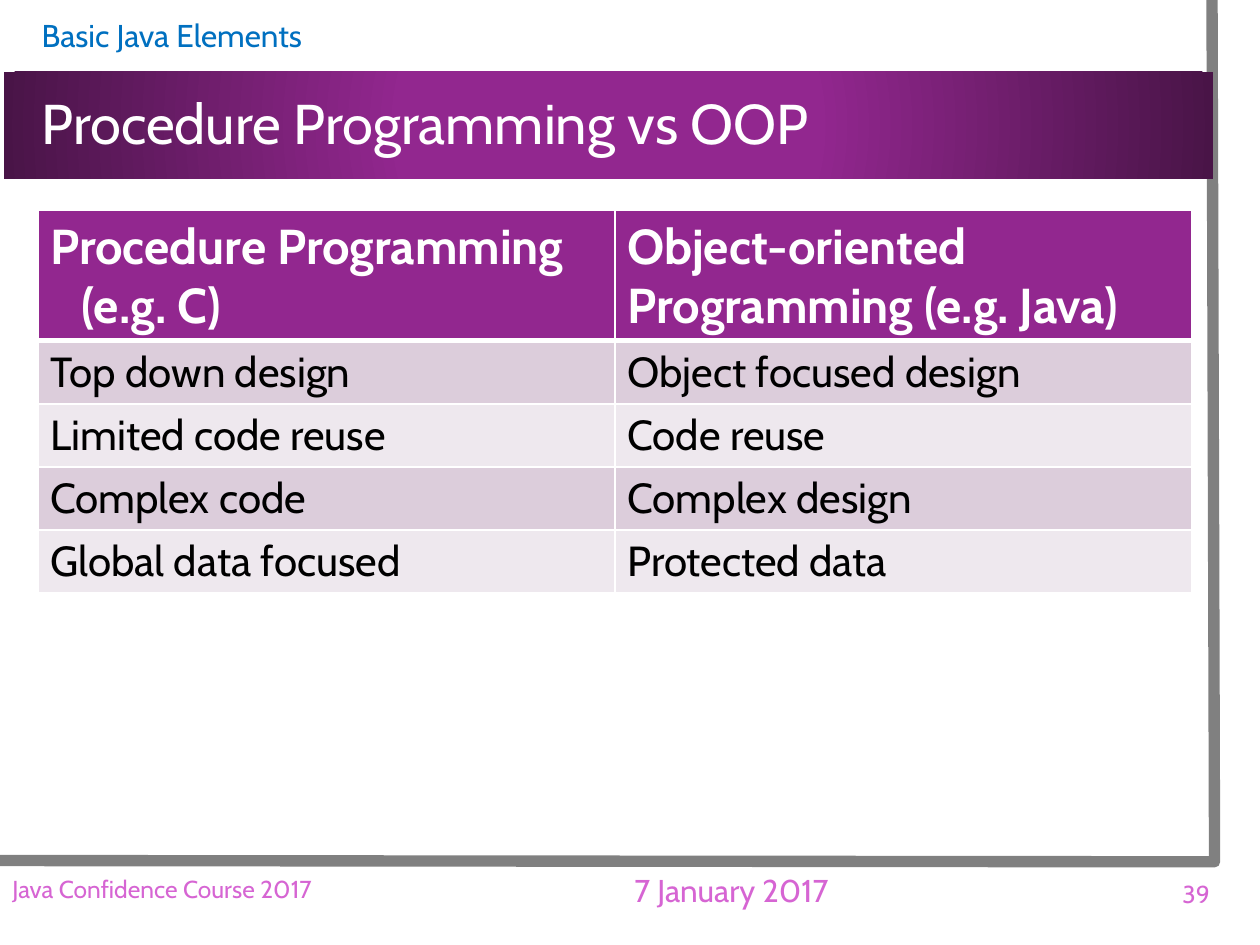
from dataclasses import dataclass

from lxml import etree
from pptx import Presentation, util as u
from pptx.dml.color import RGBColor
from pptx.enum import shapes, text
from pptx.oxml import ns

FONT = "Cabin"
COLOURS = {
    "frame": "808080", "purple": "92278F", "dark_purple": "491447",
    "topic": "0070C0", "footer": "D665D3", "white": "FFFFFF",
    "black": "000000", "odd_row": "DCCDDB", "even_row": "EEE8EE",
}


@dataclass
class Label:
    words: str
    box: tuple[float, float, float, float]
    size: int
    colour: str
    align: text.PP_ALIGN = text.PP_ALIGN.LEFT
    inset: float = 0.1
    spacing: float = 1.0


LABELS = [
    Label("Basic Java Elements", (0.03, 0.08, 9.6, 0.4), 18, "topic", inset=0.3),
    Label("Procedure Programming vs OOP", (0.03, 0.58, 9.6, 0.84), 32, "white",
          inset=0.3, spacing=0.9),
    Label("7 January 2017", (4.23, 6.85, 3.15, 0.43), 18, "footer", text.PP_ALIGN.CENTER),
    Label("Java Confidence Course 2017", (0, 6.85, 4.23, 0.41), 14, "footer"),
    Label("39", (7.39, 6.86, 2.31, 0.47), 14, "footer", text.PP_ALIGN.RIGHT),
]

COMPARISON = [
    ("Procedure Programming (e.g. C)", "Object-oriented Programming (e.g. Java)"),
    ("Top down design", "Object focused design"),
    ("Limited code reuse", "Code reuse"),
    ("Complex code", "Complex design"),
    ("Global data focused", "Protected data"),
]


def rgb(name: str) -> RGBColor:
    return RGBColor.from_string(COLOURS[name])


def style(paragraph, size: int, colour: str, bold: bool = False) -> None:
    for run in paragraph.runs:
        run.font.name = FONT
        run.font.size = u.Pt(size)
        run.font.bold = bold
        run.font.color.rgb = rgb(colour)


def draw_label(slide, label: Label) -> None:
    frame = slide.shapes.add_textbox(*map(u.Inches, label.box)).text_frame
    frame.word_wrap = True
    frame.vertical_anchor = text.MSO_ANCHOR.MIDDLE
    frame.margin_left = u.Inches(label.inset)
    frame.text = label.words
    paragraph = frame.paragraphs[0]
    paragraph.alignment = label.align
    paragraph.line_spacing = label.spacing
    style(paragraph, label.size, label.colour)


def draw_page_frame(slide) -> None:
    corners = [(u.Inches(x), u.Inches(y)) for x, y in ((9.62, 0), (9.64, 6.84), (-0.02, 6.83))]
    builder = slide.shapes.build_freeform(*corners[0])
    builder.add_line_segments(corners[1:], close=False)
    edge = builder.convert_to_shape()
    edge.shadow.inherit = False
    edge.fill.background()
    edge.line.color.rgb = rgb("frame")
    edge.line.width = u.Pt(6.5)


def draw_title_band(slide) -> None:
    band = slide.shapes.add_shape(shapes.MSO_SHAPE.RECTANGLE,
                                  *map(u.Inches, (0.03, 0.57, 9.6, 0.85)))
    band.shadow.inherit = False
    band.line.fill.background()
    band.fill.gradient()
    stops = ((0.34, "purple"), (1.0, "dark_purple"))
    for stop, (position, colour) in zip(band.fill.gradient_stops, stops):
        stop.position = position
        stop.color.rgb = rgb(colour)
    # Radial gradient from the centre
    gradient = band.fill._xPr.find(ns.qn("a:gradFill"))
    gradient.remove(gradient.find(ns.qn("a:lin")))
    radial = etree.SubElement(gradient, ns.qn("a:path"), path="circle")
    etree.SubElement(radial, ns.qn("a:fillToRect"),
                     {side: "50000" for side in "ltrb"})


def set_borders(cell, widths: dict[str, float]) -> None:
    properties = cell._tc.get_or_add_tcPr()
    for index, (side, points) in enumerate(widths.items()):
        border = etree.Element(ns.qn(f"a:ln{side}"), w=str(u.Pt(points)))
        fill = etree.SubElement(border, ns.qn("a:solidFill"))
        etree.SubElement(fill, ns.qn("a:srgbClr"), val=COLOURS["white"])
        properties.insert(index, border)


def draw_comparison(slide) -> None:
    table = slide.shapes.add_table(len(COMPARISON), 2,
                                   *map(u.Inches, (0.3, 1.67, 9.16, 3.03))).table
    for column in table.columns:
        column.width = u.Inches(4.58)
    for r, entries in enumerate(COMPARISON):
        header = r == 0
        table.rows[r].height = u.Inches(1.03 if header else 0.5)
        fill = "purple" if header else ("even_row", "odd_row")[r % 2]
        for c, words in enumerate(entries):
            cell = table.cell(r, c)
            cell.fill.solid()
            cell.fill.fore_color.rgb = rgb(fill)
            cell.text = words
            style(cell.text_frame.paragraphs[0], 28 if header else 24,
                  "white" if header else "black", header)
            set_borders(cell, {"L": 1, "R": 1, "T": 3 if r == 1 else 1, "B": 3 if header else 1})
    # Hanging indent for the first heading
    heading = table.cell(0, 0).text_frame.paragraphs[0]._p.get_or_add_pPr()
    heading.set("marL", str(u.Inches(0.25)))
    heading.set("indent", str(u.Inches(-0.25)))


def main() -> None:
    deck = Presentation()
    deck.slide_width, deck.slide_height = u.Inches(10), u.Inches(7.5)
    slide = deck.slides.add_slide(deck.slide_layouts[6])
    draw_page_frame(slide)
    draw_title_band(slide)
    for label in LABELS:
        draw_label(slide, label)
    draw_comparison(slide)
    deck.save("out.pptx")


if __name__ == "__main__":
    main()
